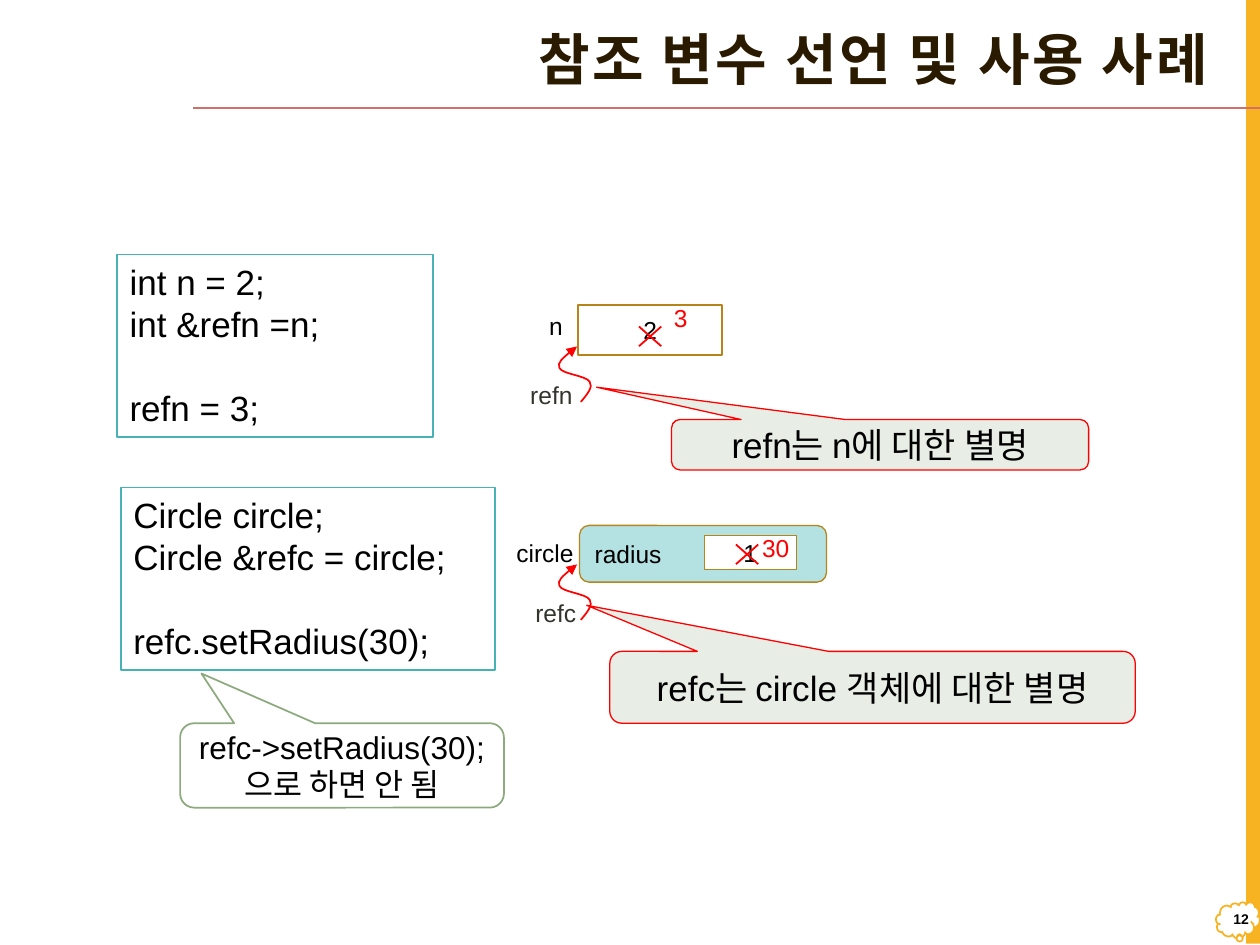
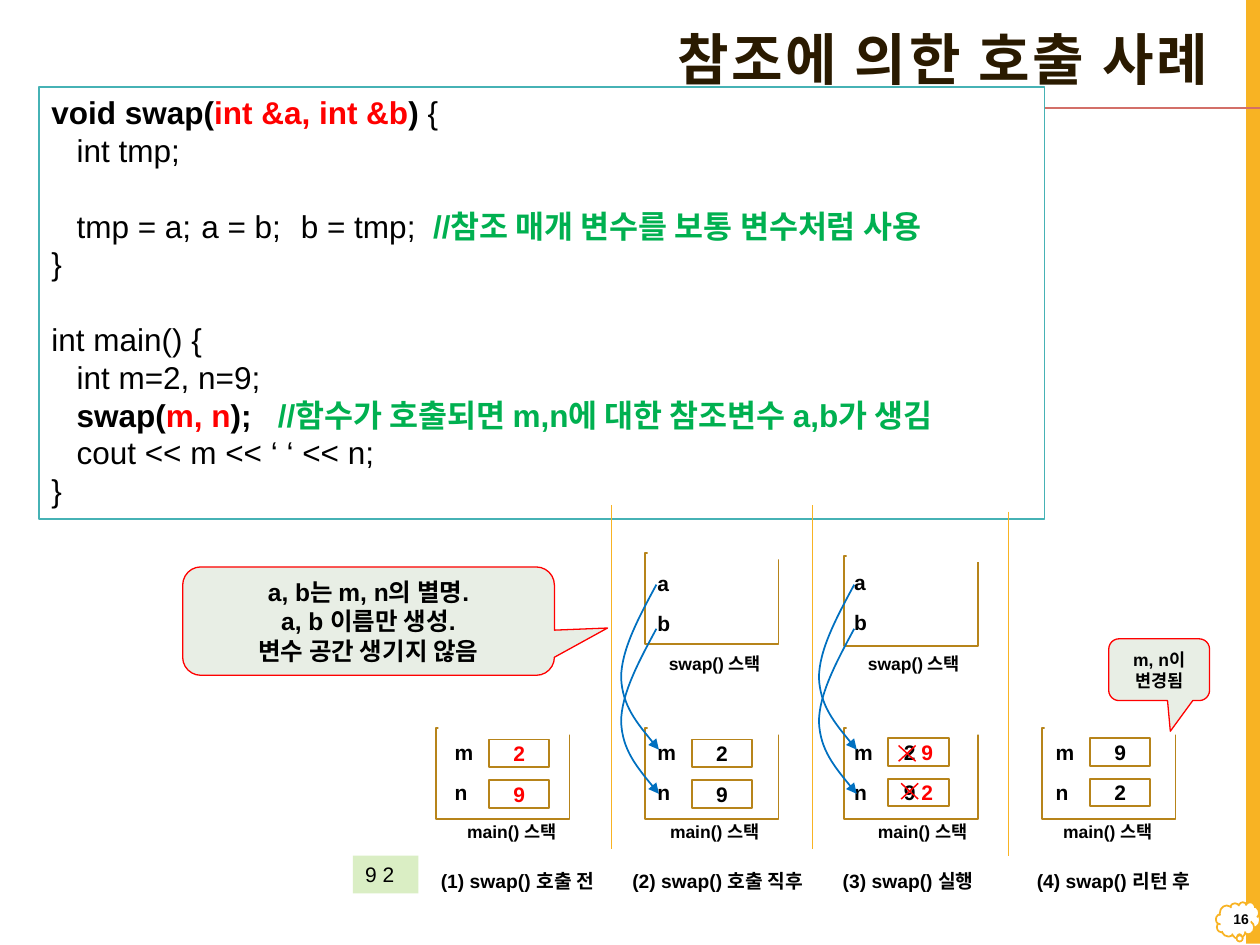
"""Build two lecture slides on C++ reference variables and call by reference."""
from dataclasses import dataclass
from typing import NamedTuple, Optional, Union

from lxml.etree import SubElement
from pptx import Presentation
from pptx.dml.color import RGBColor
from pptx.enum.shapes import MSO_CONNECTOR, MSO_SHAPE
from pptx.enum.text import MSO_ANCHOR, PP_ALIGN
from pptx.oxml.ns import qn
from pptx.util import Inches, Pt

COLORS = {
    "white": "FFFFFF", "black": "000000", "red": "FF0000", "green": "00B050",
    "blue": "0070C0", "amber": "F8B323", "rule": "D36F68", "title": "2A1A00",
    "teal": "46B2B5", "brown": "B7841A", "alias": "32352C", "object": "B4E1E2",
    "callout": "E8EEE5", "sage": "8CAA7E", "output": "DAEEC4",
}
BODY_FONT = "Arial"
TITLE_FONT = "Roboto Condensed"
LINE_PITCH = 1.2
CODE_TABS = (0.2, 1.19, 1.98)
ALIAS_CURVE = [(4.61, 3.19), (4.66, 3.13), (4.71, 3.07), (4.68, 3.03),
               (4.65, 2.98), (4.46, 2.97), (4.44, 2.92),
               (4.42, 2.88), (4.5, 2.81), (4.58, 2.75)]
PARAM_CURVE = [(5.21, 4.64), (5.07, 4.9), (4.93, 5.16), (4.93, 5.38),
               (4.94, 5.6), (5.08, 5.77), (5.23, 5.95)]


class Box(NamedTuple):
    left: float
    top: float
    width: float
    height: float


class Span(NamedTuple):
    text: str
    color: str = "black"
    bold: bool = False


Line = Union[str, list[Span]]


@dataclass
class Style:
    size: float
    color: str = "black"
    bold: bool = False
    align: PP_ALIGN = PP_ALIGN.LEFT
    anchor: MSO_ANCHOR = MSO_ANCHOR.TOP
    font: str = BODY_FONT
    wrap: bool = True


@dataclass
class Look:
    fill: Optional[str] = None
    line: Optional[str] = None
    width: float = 1
    kind: MSO_SHAPE = MSO_SHAPE.RECTANGLE
    adjust: tuple[float, ...] = ()


@dataclass
class Callout:
    box: Box
    tip: tuple[float, float]
    lines: list[Line]
    size: float
    bold: bool = False
    fill: str = "callout"
    line: str = "red"
    width: float = 0.75


@dataclass
class Stage:
    stack: float
    names: float
    caption: float
    step: Box
    title: str
    values: tuple[Line, Line]
    cell_top: float = 5.87
    swap_top: Optional[float] = None
    param_top: float = 4.48


def centred(size: float, color: str = "black", bold: bool = False) -> Style:
    return Style(size, color, bold, PP_ALIGN.CENTER, MSO_ANCHOR.MIDDLE)


def rgb(name: str) -> RGBColor:
    return RGBColor.from_string(COLORS[name])


def write(sp, lines: list[Line], style: Style) -> None:
    tf = sp.text_frame
    tf.word_wrap = style.wrap
    tf.vertical_anchor = style.anchor
    tf.text = "\n".join("" for line in lines if line)
    paragraphs = iter(tf.paragraphs)
    gap = 0
    for line in lines:
        if not line:
            gap += style.size * LINE_PITCH
            continue
        p = next(paragraphs)
        p.alignment = style.align
        if gap:
            p.space_before = Pt(gap)
            gap = 0
        spans = [Span(line, style.color, style.bold)] if isinstance(line, str) else line
        p.text = spans[0].text
        for span in spans[1:]:
            p.add_run().text = span.text
        for r, span in zip(p.runs, spans):
            r.font.name, r.font.size = style.font, Pt(style.size)
            r.font.bold = span.bold
            r.font.color.rgb = rgb(span.color)


def shape(s, box: Box, look: Look, lines: Optional[list[Line]] = None,
          style: Optional[Style] = None):
    sp = s.shapes.add_shape(look.kind, *map(Inches, box))
    sp.shadow.inherit = False
    for i, value in enumerate(look.adjust):
        sp.adjustments[i] = value
    if look.fill:
        sp.fill.solid()
        sp.fill.fore_color.rgb = rgb(look.fill)
    else:
        sp.fill.background()
    if look.line:
        sp.line.color.rgb = rgb(look.line)
        sp.line.width = Pt(look.width)
    else:
        sp.line.fill.background()
    if lines:
        write(sp, lines, style)
    return sp


def label(s, box: Box, text: str, style: Style):
    sp = s.shapes.add_textbox(*map(Inches, box))
    write(sp, [text], style)
    return sp


def rule(s, start: tuple[float, float], end: tuple[float, float],
         color: str, width: float) -> None:
    sp = s.shapes.add_connector(MSO_CONNECTOR.STRAIGHT, *map(Inches, start + end))
    sp.line.color.rgb = rgb(color)
    sp.line.width = Pt(width)
    SubElement(sp.element.spPr, qn("a:effectLst"))


def curved_arrow(s, points: list[tuple[float, float]], dx: float, dy: float,
                 color: str) -> None:
    pts = [(Inches(x + dx), Inches(y + dy)) for x, y in points]
    builder = s.shapes.build_freeform(*pts[0])
    builder.add_line_segments(pts[1:], close=False)
    sp = builder.convert_to_shape()
    sp.shadow.inherit = False
    sp.fill.background()
    sp.line.color.rgb = rgb(color)
    sp.line.width = Pt(1)
    SubElement(sp.element.find(".//" + qn("a:ln")), qn("a:tailEnd"), type="triangle")
    outline = sp.element.find(".//" + qn("a:path"))
    segments = outline.findall(qn("a:lnTo"))
    for i in range(0, len(segments), 3):
        bezier = SubElement(outline, qn("a:cubicBezTo"))
        for segment in segments[i:i + 3]:
            bezier.append(segment[0])
            outline.remove(segment)


def callout(s, c: Callout) -> None:
    look = Look(c.fill, c.line, c.width, MSO_SHAPE.ROUNDED_RECTANGULAR_CALLOUT,
                (*c.tip, 0.167))
    shape(s, c.box, look, c.lines, centred(c.size, bold=c.bold))


def cross(s, box: Box) -> None:
    shape(s, box, Look("red", kind=MSO_SHAPE.MATH_MULTIPLY, adjust=(0.048,)))


def code_box(s, box: Box, lines: list[Line], size: float):
    return shape(s, box, Look("white", "teal"), lines, Style(size))


def new_slide(prs, title: str, number: int):
    s = prs.slides.add_slide(prs.slide_layouts[6])
    shape(s, Box(9.89, -0.01, 0.11, 7.5), Look("amber"))
    shape(s, Box(9.65, 7.16, 0.35, 0.29),
          Look("white", "amber", kind=MSO_SHAPE.CLOUD_CALLOUT, adjust=(0.034, 0.431)))
    rule(s, (10, 0.86), (1.53, 0.86), "rule", 1)
    sp = label(s, Box(1.32, 0.13, 8.37, 0.73), title,
               Style(32, "title", True, PP_ALIGN.RIGHT, MSO_ANCHOR.MIDDLE, TITLE_FONT))
    p = sp.text_frame.paragraphs[0]
    p.line_spacing = 0.9
    p.runs[0].font._element.set("spc", "150")
    label(s, Box(9.66, 7.12, 0.35, 0.35), str(number),
          Style(8, bold=True, align=PP_ALIGN.RIGHT, anchor=MSO_ANCHOR.MIDDLE))
    return s


def reference_slide(prs) -> None:
    s = new_slide(prs, "참조 변수 선언 및 사용 사례", 12)
    code_box(s, Box(0.93, 2.02, 2.51, 1.45),
             ["int n = 2;", "int &refn =n;", "", "refn = 3;"], 20)
    code_box(s, Box(0.96, 3.87, 2.97, 1.45),
             ["Circle circle;", "Circle &refc = circle;", "", "refc.setRadius(30);"], 20)
    shape(s, Box(4.59, 2.42, 1.14, 0.4), Look(line="brown"), ["2"], centred(14))
    for dy in (0, 1.73):
        curved_arrow(s, ALIAS_CURVE, 0, dy, "red")
    callout(s, Callout(Box(5.33, 3.33, 3.31, 0.4), (-0.68, -1.142),
                       ["refn는 n에 대한 별명"], 20))
    callout(s, Callout(Box(4.84, 5.17, 4.17, 0.57), (-0.544, -1.142),
                       ["refc는 circle 객체에 대한 별명"], 20))
    shape(s, Box(4.6, 4.17, 1.96, 0.45),
          Look("object", "brown", 0.75, MSO_SHAPE.ROUNDED_RECTANGLE),
          ["radius"], Style(14, anchor=MSO_ANCHOR.MIDDLE))
    shape(s, Box(5.59, 4.25, 0.73, 0.27), Look("white", "brown", 0.75), ["1"], centred(14))
    for left, top, width, text, color in (
            (4.26, 2.42, 0.32, "n", "black"), (5.25, 2.36, 0.31, "3", "red"),
            (4.11, 2.97, 0.55, "refn", "alias"), (4, 4.22, 0.66, "circle", "black"),
            (4.15, 4.7, 0.53, "refc", "alias"), (5.95, 4.18, 0.42, "30", "red")):
        label(s, Box(left, top, width, 0.34), text, Style(14, color, wrap=False))
    cross(s, Box(4.99, 2.52, 0.34, 0.3))
    cross(s, Box(5.76, 4.25, 0.34, 0.3))
    callout(s, Callout(Box(1.43, 5.74, 2.57, 0.67), (-0.434, -1.089),
                       ["refc->setRadius(30);으로 하면 안 됨"], 18,
                       fill="white", line="sage", width=1))


def stack(s, left: float, top: float) -> None:
    shape(s, Box(left, top, 1.06, 0.72), Look("white", "brown"))
    shape(s, Box(left + 0.02, top - 0.04, 1.05, 0.09), Look("white"))


def draw_stage(s, stage: Stage) -> None:
    name, caption = Style(12, bold=True), Style(10, bold=True, wrap=False)
    for i, (text, value) in enumerate(zip("mn", stage.values)):
        dy = 0.32 * i
        label(s, Box(stage.names, 5.82 + dy, 0.53, 0.3), text, name)
        shape(s, Box(stage.names + 0.37, stage.cell_top + dy, 0.48, 0.22),
              Look("white", "brown"), [value], centred(12, bold=True))
    label(s, Box(stage.caption, 6.47, 0.96, 0.27), "main() 스택", caption)
    label(s, stage.step, stage.title, Style(11, bold=True, wrap=False))
    if stage.swap_top:
        for i, text in enumerate("ab"):
            label(s, Box(stage.names, stage.param_top + 0.32 * i, 0.53, 0.3), text, name)
        label(s, Box(stage.stack + 0.09, 5.13, 0.97, 0.27), "swap() 스택", caption)


def call_slide(prs) -> None:
    s = new_slide(prs, "참조에 의한 호출 사례", 16)
    red_2, red_9 = Span("2", "red", True), Span("9", "red", True)
    stages = [
        Stage(3.46, 3.51, 3.61, Box(3.4, 6.85, 1.51, 0.29), "(1) swap() 호출 전",
              ([red_2], [red_9])),
        Stage(5.12, 5.12, 5.22, Box(4.92, 6.85, 1.66, 0.29), "(2) swap() 호출 직후",
              ("2", "9"), swap_top=4.39),
        Stage(6.7, 6.68, 6.87, Box(6.59, 6.85, 1.3, 0.29), "(3) swap() 실행",
              ([Span("2 ", bold=True), red_9], [Span("9 ", bold=True), red_2]),
              5.86, 4.41, 4.47),
        Stage(8.27, 8.28, 8.34, Box(8.13, 6.85, 1.51, 0.29), "(4) swap() 리턴 후",
              ("9", "2"), 5.86),
    ]
    for stage in stages:
        stack(s, stage.stack, 5.78)
        if stage.swap_top:
            stack(s, stage.stack, stage.swap_top)
    sp = code_box(s, Box(0.31, 0.69, 7.98, 3.43), [
        [Span("void swap(", bold=True), Span("int &a, int &b", "red", True),
         Span(") ", bold=True), Span("{")],
        "\tint tmp;", "",
        [Span("\ttmp = a; \ta = b; \tb = tmp;  "),
         Span("//참조 매개 변수를 보통 변수처럼 사용", "green", True)],
        "}", "", "int main() {", "\tint m=2, n=9;",
        [Span("\tswap(", bold=True), Span("m, n", "red", True), Span(");   ", bold=True),
         Span("//함수가 호출되면 m,n에 대한 참조변수 a,b가 생김", "green", True)],
        "\tcout << m << ‘ ‘ << n;", "}"], 18)
    for p in sp.text_frame.paragraphs:
        tabs = SubElement(p._p.get_or_add_pPr(), qn("a:tabLst"))
        for stop in CODE_TABS:
            SubElement(tabs, qn("a:tab"), pos=str(Inches(stop)), algn="l")
    for stage in stages:
        draw_stage(s, stage)
    for x, top in ((4.85, 4.01), (6.45, 4.01), (8, 4.06)):
        rule(s, (x, top), (x, top + 2.73), "amber", 0.5)
    cross(s, Box(7.07, 5.86, 0.26, 0.24))
    cross(s, Box(7.09, 6.16, 0.26, 0.24))
    callout(s, Callout(Box(1.45, 4.5, 2.95, 0.86), (0.643, 0.064),
                       ["a, b는 m, n의 별명.", "a, b 이름만 생성.", "변수 공간 생기지 않음"],
                       14, True))
    callout(s, Callout(Box(8.8, 5.07, 0.8, 0.49), (0.111, 0.997),
                       ["m, n이 변경됨"], 10, True))
    for dx in (0, 1.57):
        for dy in (0, 0.35):
            curved_arrow(s, PARAM_CURVE, dx, dy, "blue")
    shape(s, Box(2.8, 6.79, 0.52, 0.3), Look("output"), ["9 2"], Style(12))


def main() -> None:
    prs = Presentation()
    prs.slide_width, prs.slide_height = Inches(10), Inches(7.5)
    reference_slide(prs)
    call_slide(prs)
    prs.save("out.pptx")


if __name__ == "__main__":
    main()
